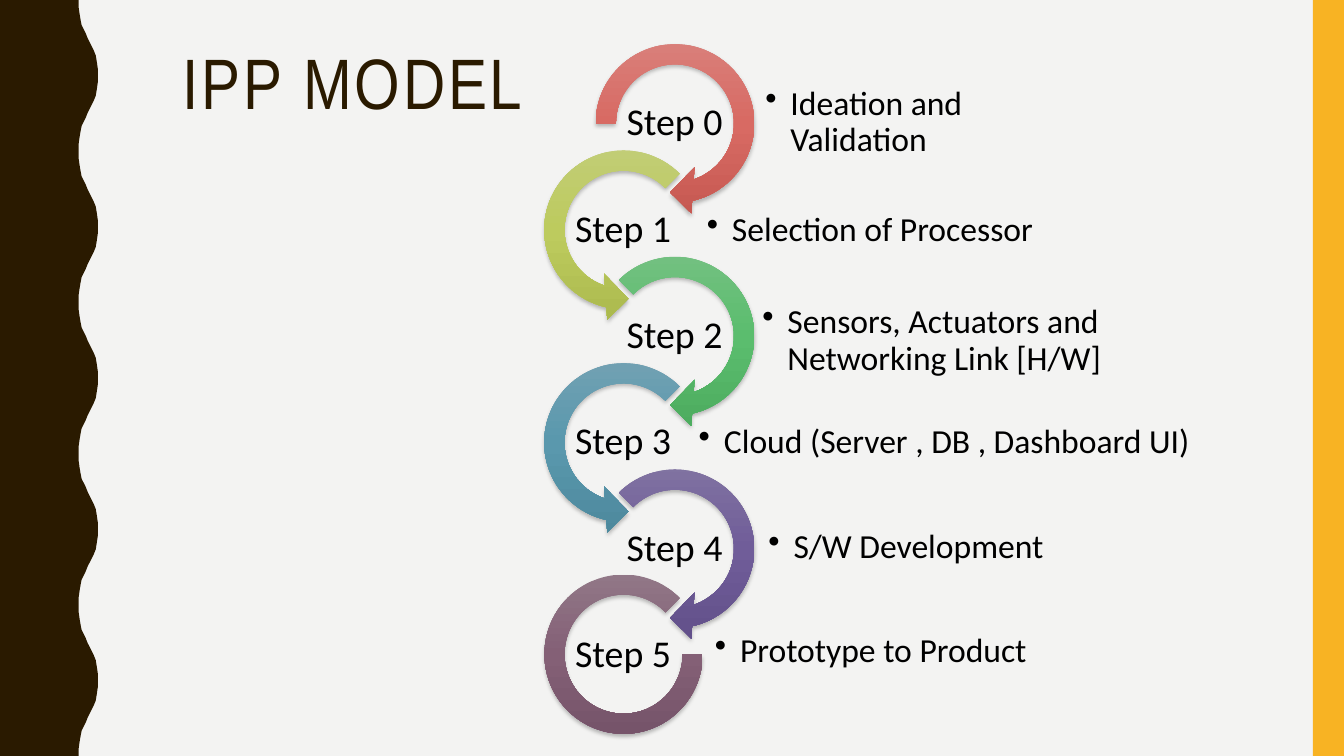
from dataclasses import dataclass

from pptx import Presentation
from pptx.dml.color import RGBColor
from pptx.enum.shapes import MSO_SHAPE
from pptx.enum.text import MSO_ANCHOR, PP_ALIGN
from pptx.oxml import parse_xml
from pptx.oxml.ns import nsdecls, qn
from pptx.util import Inches, Pt

RECT = MSO_SHAPE.RECTANGLE
RIGHT_ARROW = MSO_SHAPE.CIRCULAR_ARROW
LEFT_ARROW = MSO_SHAPE.LEFT_CIRCULAR_ARROW
ARC = MSO_SHAPE.BLOCK_ARC
MIDDLE = MSO_ANCHOR.MIDDLE
LEFT, CENTER = PP_ALIGN.LEFT, PP_ALIGN.CENTER


@dataclass(frozen=True)
class Theme:
    background: str = "F3F3F2"
    dark: str = "2A1A00"
    accent: str = "F8B323"
    text: str = "000000"
    title_font: str = "Arial Narrow"
    body_font: str = "Calibri"
    title_size: int = 51
    label_size: int = 27
    detail_size: int = 24
    rings: tuple = (
        ("D9827D", "D86A63", "C65952"),
        ("C2CD79", "BDCB5E", "ACBA4E"),
        ("76C183", "5BBD6E", "4DAC5F"),
        ("74A2B3", "5A98AD", "4D899D"),
        ("8275A2", "705D99", "62508A"),
        ("917787", "846076", "76546A"),
    )


WAVE_PERIOD = 1.5
WAVE_COUNT = 5
WAVE_RISE = [
    (0.78, 0), (0.78, 0.07), (0.79, 0.14), (0.8, 0.2), (0.81, 0.25),
    (0.83, 0.29), (0.85, 0.33), (0.87, 0.38), (0.89, 0.42), (0.91, 0.46),
    (0.93, 0.5), (0.95, 0.55), (0.96, 0.61), (0.97, 0.68), (0.97, 0.75),
]

STEP_PITCH = 1.055
DETAILS = [
    ("Ideation and Validation", (7.57, 0.74, 3.09, 0.95)),
    ("Selection of Processor", (6.99, 1.92, 3.67, 0.73)),
    ("Sensors, Actuators and Networking Link [H/W]", (7.54, 3.02, 4.81, 0.73)),
    ("Cloud (Server , DB , Dashboard UI)", (6.91, 4.03, 5.23, 0.73)),
    ("S/W Development", (7.6, 5.07, 3.55, 0.73)),
    ("Prototype to Product", (7.07, 6.1, 3.87, 0.73)),
]


class Builder:
    def __init__(self, slide, theme):
        self.slide = slide
        self.theme = theme
        fill = slide.background.fill
        fill.solid()
        fill.fore_color.rgb = RGBColor.from_string(theme.background)

    def paint(self, sp, color):
        sp.shadow.inherit = False
        sp.line.fill.background()
        sp.fill.solid()
        sp.fill.fore_color.rgb = RGBColor.from_string(color)

    def bar(self, box, color):
        sp = self.slide.shapes.add_shape(RECT, *map(Inches, box))
        self.paint(sp, color)

    def wavy_edge(self, height, color):
        wave = WAVE_RISE + [(x, WAVE_PERIOD - y) for x, y in WAVE_RISE[-2::-1]]
        points = [
            (Inches(x), Inches(y + n * WAVE_PERIOD))
            for n in range(WAVE_COUNT)
            for x, y in wave
        ]
        builder = self.slide.shapes.build_freeform(0, 0)
        builder.add_line_segments(points + [(0, Inches(height))], close=True)
        self.paint(builder.convert_to_shape(), color)

    def ring(self, kind, box, adjustments, colors):
        sp = self.slide.shapes.add_shape(kind, *map(Inches, box))
        for i, value in enumerate(adjustments):
            sp.adjustments[i] = value
        sp.shadow.inherit = False
        sp.line.fill.background()
        stops = "".join(
            f'<a:gs pos="{i * 50000}"><a:srgbClr val="{color}"/></a:gs>'
            for i, color in enumerate(colors)
        )
        spPr = sp.element.spPr
        spPr.insert(2, parse_xml(
            f'<a:gradFill {nsdecls("a")} rotWithShape="1"><a:gsLst>{stops}</a:gsLst>'
            '<a:lin ang="5400000" scaled="0"/></a:gradFill>'
        ))
        spPr.find(qn("a:effectLst")).append(parse_xml(
            f'<a:outerShdw {nsdecls("a")} blurRad="{Pt(3)}" dist="{Pt(2)}" '
            'dir="5400000" algn="ctr" rotWithShape="0"><a:srgbClr val="000000">'
            '<a:alpha val="25000"/></a:srgbClr></a:outerShdw>'
        ))

    def text(self, text, box, size, font, color, align=CENTER, bullet=False, spacing=0):
        tf = self.slide.shapes.add_textbox(*map(Inches, box)).text_frame
        tf.word_wrap = True
        tf.vertical_anchor = MIDDLE
        tf.margin_left = tf.margin_right = Inches(0.02)
        tf.margin_top = tf.margin_bottom = Inches(0.02)
        p = tf.paragraphs[0]
        if bullet:
            pPr = p._p.get_or_add_pPr()
            pPr.set("marL", str(Inches(0.25)))
            pPr.set("indent", str(-Inches(0.25)))
            pPr.append(parse_xml(f'<a:buChar {nsdecls("a")} char="•"/>'))
        p.alignment = align
        p.line_spacing = 0.9
        r = p.add_run()
        r.text = text
        r.font.size = Pt(size)
        r.font.name = font
        r.font.color.rgb = RGBColor.from_string(color)
        if spacing:
            r.font._element.set("spc", str(spacing * 100))

    def step(self, number, detail, detail_box):
        theme = self.theme
        top = number * STEP_PITCH
        odd = number % 2
        shift = 0.51 * odd
        ring_box = (5.78 - shift, 0.31 + top, 1.83, 1.83)
        if number == len(DETAILS) - 1:
            kind, adjustments = ARC, (0, 189, 0.127)
            ring_box = (5.4, 5.7, 1.57, 1.58)
        elif odd:
            kind, adjustments = LEFT_ARROW, (0.11, 11.423, 63, 189, 0.125)
        else:
            start = 135 if number else 108
            kind, adjustments = RIGHT_ARROW, (0.11, 11.423, 45, start, 0.125)
        self.ring(kind, ring_box, adjustments, theme.rings[number])
        self.text(detail, detail_box, theme.detail_size, theme.body_font,
                  theme.text, align=LEFT, bullet=True)
        self.text(f"Step {number}", (6.18 - shift, 0.97 + top, 1.02, 0.51),
                  theme.label_size, theme.body_font, theme.text)


def main():
    prs = Presentation()
    prs.slide_width, prs.slide_height = Inches(13.33), Inches(7.5)
    theme = Theme()
    s = Builder(prs.slides.add_slide(prs.slide_layouts[6]), theme)
    s.wavy_edge(7.5, theme.dark)
    s.bar((13.02, 0, 0.31, 7.5), theme.accent)
    s.text("IPP MODEL", (1.19, 0.42, 4.62, 0.88), theme.title_size,
           theme.title_font, theme.dark, spacing=2)
    for number, (detail, box) in enumerate(DETAILS):
        s.step(number, detail, box)
    prs.save("out.pptx")


if __name__ == "__main__":
    main()
